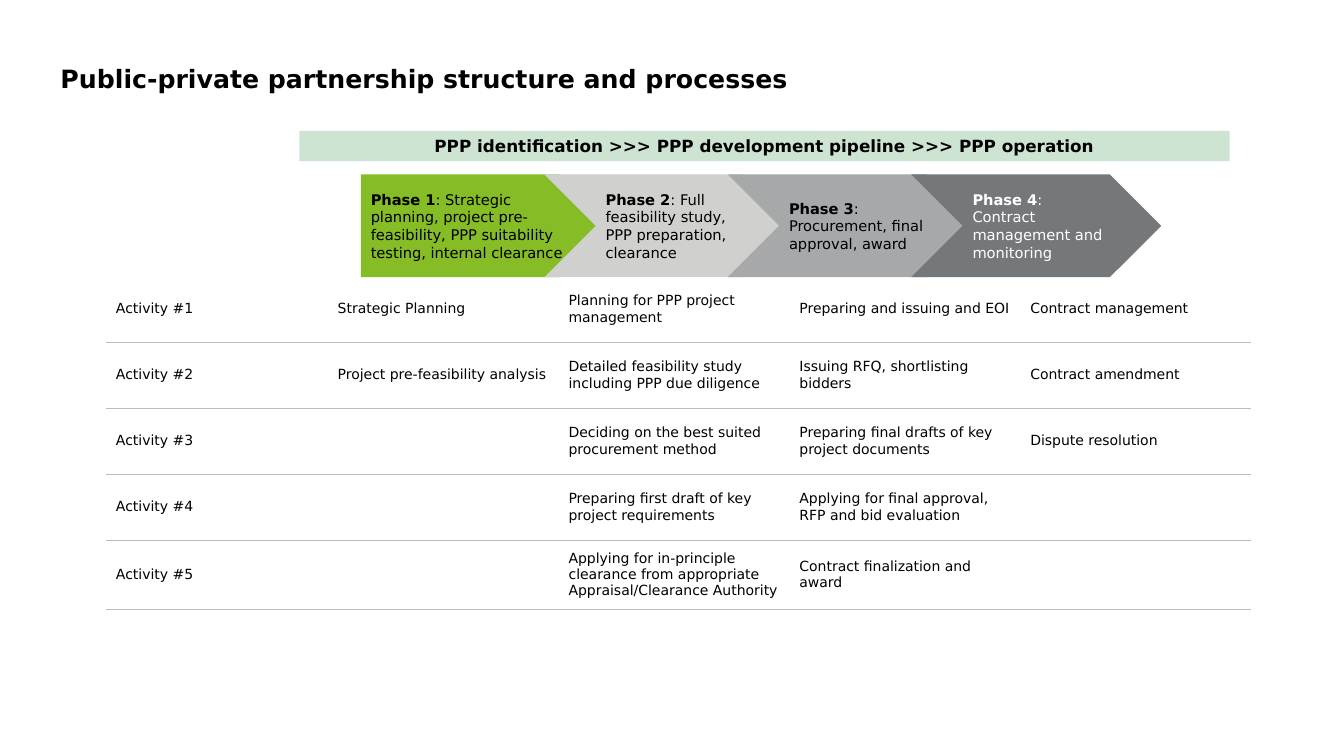
import pptx
import pptx.util
import pptx.dml.color
import pptx.enum.shapes
import pptx.enum.text
import pptx.oxml
import pptx.oxml.ns

RGB = pptx.dml.color.RGBColor
SHAPE = pptx.enum.shapes.MSO_SHAPE
ALIGN = pptx.enum.text.PP_ALIGN
ANCHOR = pptx.enum.text.MSO_ANCHOR
BLACK = RGB(0x00, 0x00, 0x00)
WHITE = RGB(0xFF, 0xFF, 0xFF)
GREEN = RGB(0x86, 0xBC, 0x25)
MINT = RGB(0xCD, 0xE4, 0xD2)
LIGHT = RGB(0xD0, 0xD0, 0xCE)
MID = RGB(0xA7, 0xA8, 0xAA)
DARK = RGB(0x75, 0x78, 0x7B)
RULE = RGB(0xBB, 0xBC, 0xBC)
NO_STYLE = "{2D5ABB26-0587-4C30-8999-92F81FD0307C}"

PHASES = [
    ("Phase 1", ": Strategic planning, project pre-feasibility, PPP suitability testing, "
                "internal clearance", SHAPE.PENTAGON, GREEN, BLACK, 0.1),
    ("Phase 2", ": Full feasibility study, PPP preparation, clearance",
     SHAPE.CHEVRON, LIGHT, BLACK, 0),
    ("Phase 3", ": Procurement, final approval, award", SHAPE.CHEVRON, MID, BLACK, 0),
    ("Phase 4", ": Contract management and monitoring", SHAPE.CHEVRON, DARK, WHITE, 0),
]
ACTIVITIES = [
    ["Strategic Planning", "Planning for PPP project management",
     "Preparing and issuing and EOI", "Contract management"],
    ["Project pre-feasibility analysis",
     "Detailed feasibility study including PPP due diligence",
     "Issuing RFQ, shortlisting bidders", "Contract amendment"],
    ["", "Deciding on the best suited procurement method",
     "Preparing final drafts of key project documents", "Dispute resolution"],
    ["", "Preparing first draft of key project requirements",
     "Applying for final approval, RFP and bid evaluation", ""],
    ["", "Applying for in-principle clearance from appropriate Appraisal/Clearance Authority",
     "Contract finalization and award", ""],
]


class Deck:
    """Draws styled elements on one slide, with lengths in percent of its size."""

    font = "DejaVu Sans"

    def __init__(self):
        self.prs = pptx.Presentation()
        self.prs.slide_width = pptx.util.Inches(13.33)
        self.prs.slide_height = pptx.util.Inches(7.5)
        self.s = self.prs.slides.add_slide(self.prs.slide_layouts[5])

    def x(self, share):
        return round(self.prs.slide_width * share / 100)

    def y(self, share):
        return round(self.prs.slide_height * share / 100)

    def box(self, x, y, w, h):
        return self.x(x), self.y(y), self.x(w), self.y(h)

    def text(self, tf, runs, size, color=BLACK, align=ALIGN.LEFT):
        p = tf.paragraphs[0]
        p.alignment = align
        for words, bold in runs:
            r = p.add_run()
            r.text = words
            style = {"name": self.font, "size": pptx.util.Pt(size), "bold": bold}
            for key, value in style.items():
                setattr(r.font, key, value)
            r.font.color.rgb = color

    def frame(self, tf, anchor, margins):
        left, top, right, bottom = [pptx.util.Inches(m) for m in margins]
        style = {"margin_left": left, "margin_top": top, "margin_right": right,
                 "margin_bottom": bottom, "vertical_anchor": anchor, "word_wrap": True,
                 "auto_size": pptx.enum.text.MSO_AUTO_SIZE.NONE}
        for key, value in style.items():
            setattr(tf, key, value)

    def title(self, words, *area):
        sp = self.s.shapes.title
        sp.left, sp.top, sp.width, sp.height = self.box(*area)
        self.frame(sp.text_frame, ANCHOR.TOP, (0, 0, 0, 0))
        self.text(sp.text_frame, [(words, True)], 18)

    def shape(self, kind, fill, area, margins, runs, size, color=BLACK, align=ALIGN.LEFT):
        sp = self.s.shapes.add_shape(kind, *self.box(*area))
        sp.shadow.inherit = False
        sp.fill.solid()
        sp.fill.fore_color.rgb = fill
        sp.line.fill.background()
        self.frame(sp.text_frame, ANCHOR.MIDDLE, margins)
        self.text(sp.text_frame, runs, size, color, align)

    def rule(self, cell):
        ln = pptx.oxml.parse_xml(
            f'<a:lnB {pptx.oxml.ns.nsdecls("a")} w="6350"><a:solidFill>'
            f'<a:srgbClr val="{RULE}"/></a:solidFill></a:lnB>')
        cell._tc.get_or_add_tcPr().insert(0, ln)

    def table(self, rows, x, y, widths, row_height):
        area = self.box(x, y, sum(widths), row_height * len(rows))
        tbl = self.s.shapes.add_table(len(rows), len(widths), *area).table
        tbl.first_row = tbl.horz_banding = False
        tbl._tbl.tblPr.find(pptx.oxml.ns.qn("a:tableStyleId")).text = NO_STYLE
        for col, width in zip(tbl.columns, widths):
            col.width = self.x(width)
        for i, row in enumerate(rows):
            for j, words in enumerate(row):
                cell = tbl.cell(i, j)
                cell.fill.background()
                self.rule(cell)
                cell.vertical_anchor = ANCHOR.MIDDLE
                for side in ("left", "top", "right", "bottom"):
                    setattr(cell, f"margin_{side}", pptx.util.Inches(0.1))
                if words:
                    self.text(cell.text_frame, [(words, False)], 10)


def main():
    deck = Deck()
    deck.title("Public-private partnership structure and processes", 4.5, 8.4, 86.25, 8.93)
    rows = [[f"Activity #{n}", *cells] for n, cells in enumerate(ACTIVITIES, 1)]
    deck.table(rows, 7.88, 36.53, [16.5] + [17.18] * 4, 8.73)
    for i, (name, words, kind, fill, color, right) in enumerate(PHASES):
        deck.shape(kind, fill, (26.85 + 13.65 * i, 23.07, 18.6, 13.6),
                   (0.1, 0.1, right, 0.1), [(name, True), (words, False)], 10.5, color)
    deck.shape(SHAPE.RECTANGLE, MINT, (22.27, 17.33, 69.22, 4), (0.1, 0.05, 0.1, 0.05),
               [("PPP identification >>> PPP development pipeline >>> PPP operation", True)],
               12, align=ALIGN.CENTER)
    deck.prs.save("out.pptx")


if __name__ == "__main__":
    main()
